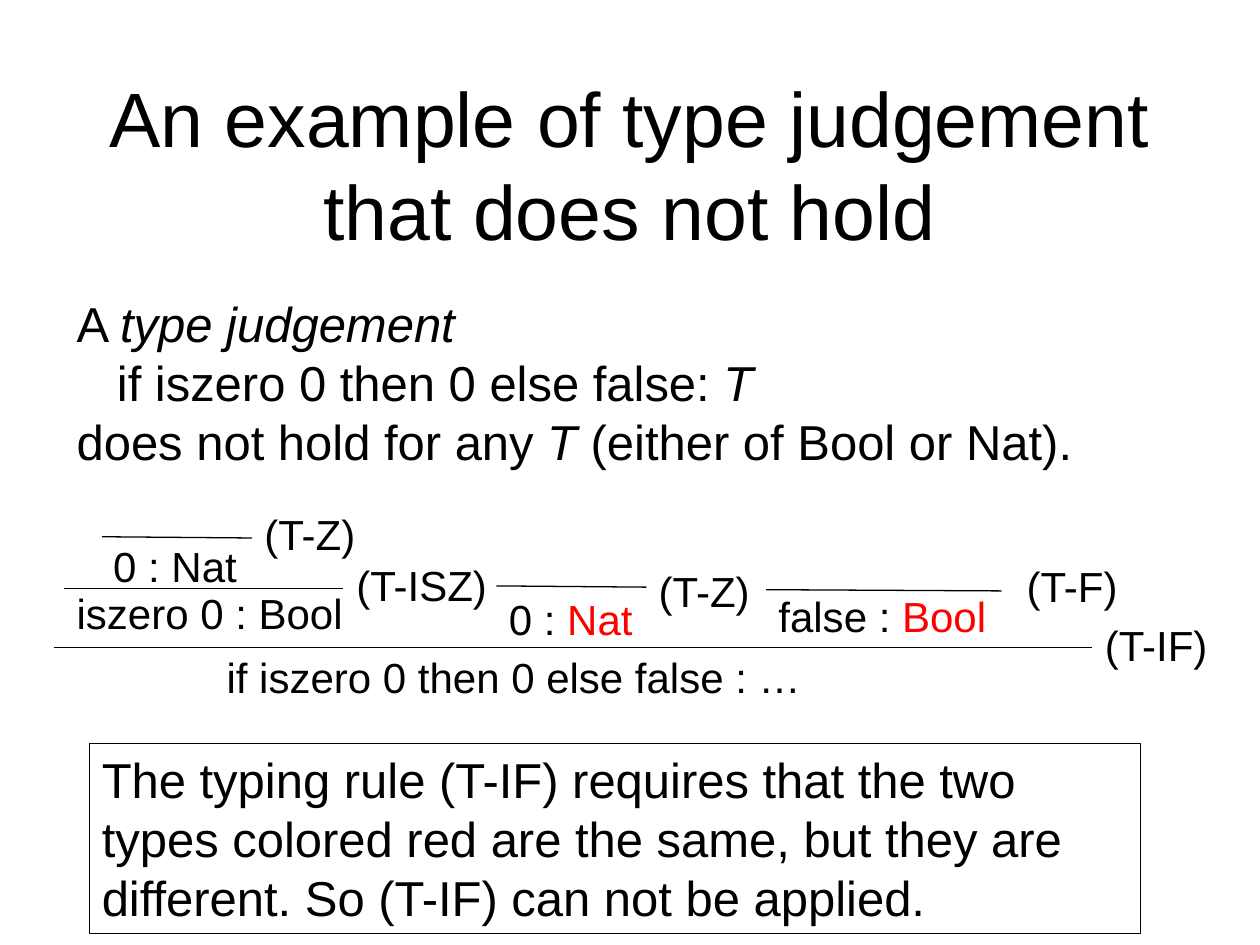
from pptx import Presentation
from pptx.dml.color import RGBColor
from pptx.enum.shapes import MSO_CONNECTOR as Conn, MSO_SHAPE as Shape
from pptx.enum.text import MSO_ANCHOR as Anchor, MSO_AUTO_SIZE as Auto, PP_ALIGN as Align
from pptx.oxml.ns import qn
from pptx.util import Inches, Pt
from lxml import etree

BLACK, RED = "000000", "FF0000"


def rgb(code):
    return RGBColor.from_string(code)


def fill_para(para, runs, size):
    """Each run is (text, italic, colour)."""
    para.font.name = "Arial"
    para.font.size = Pt(size)
    para.font.color.rgb = rgb(BLACK)
    for text, slant, hue in runs:
        run = para.add_run()
        run.text = text
        if slant:
            run.font.italic = True
        if hue != BLACK:
            run.font.color.rgb = rgb(hue)


def plain(text):
    return (text, False, BLACK)


def add_text(slide, x, y, w, h, paras, size=24, wrap=False):
    box = slide.shapes.add_textbox(Inches(x), Inches(y), Inches(w), Inches(h))
    frame = box.text_frame
    frame.word_wrap = wrap
    frame.auto_size = Auto.SHAPE_TO_FIT_TEXT
    for i, runs in enumerate(paras):
        para = frame.paragraphs[0] if i == 0 else frame.add_paragraph()
        fill_para(para, runs, size)
    return frame


def add_rule(slide, x1, y1, x2, y2):
    rule = slide.shapes.add_connector(
        Conn.STRAIGHT, Inches(x1), Inches(y1), Inches(x2), Inches(y2))
    rule.line.color.rgb = rgb(BLACK)
    rule.line.width = Pt(0.75)
    etree.SubElement(rule._element.spPr, qn("a:effectLst"))


def add_note(slide, x, y, w, h, text):
    note = slide.shapes.add_shape(
        Shape.RECTANGLE, Inches(x), Inches(y), Inches(w), Inches(h))
    note.shadow.inherit = False
    note.fill.background()
    note.line.color.rgb = rgb(BLACK)
    note.line.width = Pt(0.75)
    frame = note.text_frame
    frame.word_wrap = True
    frame.auto_size = Auto.SHAPE_TO_FIT_TEXT
    frame.vertical_anchor = Anchor.TOP
    para = frame.paragraphs[0]
    para.alignment = Align.LEFT
    fill_para(para, [plain(text)], 28)


def main():
    deck = Presentation()
    deck.slide_width, deck.slide_height = Inches(10), Inches(7.5)
    slide = deck.slides.add_slide(deck.slide_layouts[6])

    # Title
    title = add_text(slide, 0.75, 0.67, 8.5, 1.25, [
        [plain("An example of type judgement that does not hold")]], 44, True)
    title.auto_size = Auto.NONE
    title.vertical_anchor = Anchor.MIDDLE
    title.paragraphs[0].alignment = Align.CENTER

    # Claim, with the judgement indented
    claim = add_text(slide, 0.51, 2.28, 8.2, 1.51, [
        [plain("A "), ("type judgement", True, BLACK)],
        [plain("if iszero 0 then 0 else false: "), ("T", True, BLACK)],
        [plain("does not hold for any "), ("T ", True, BLACK),
         plain("(either of Bool or Nat).")],
    ], 28)
    claim.paragraphs[1]._p.get_or_add_pPr().set("marL", str(Inches(0.32)))

    # Premises of the derivation tree
    premises = [
        (0.8, 4.24, 1.19, [plain("0 : Nat")]),
        (0.51, 4.61, 2.34, [plain("iszero 0 : Bool")]),
        (3.94, 4.66, 1.19, [plain("0 : "), ("Nat", False, RED)]),
        (6.08, 4.64, 1.87, [plain("false : "), ("Bool", False, RED)]),
    ]
    for x, y, w, runs in premises:
        add_text(slide, x, y, w, 0.5, [runs])

    # Root of the derivation tree
    add_text(slide, 1.7, 5.12, 5.58, 0.5,
             [[plain("if iszero 0 then 0 else false : …")]], wrap=True)

    # Names of the typing rules
    names = [
        (2, 3.99, 0.93, "(T-Z)"),
        (2.73, 4.39, 1.25, "(T-ISZ)"),
        (5.13, 4.44, 0.93, "(T-Z)"),
        (8.05, 4.4, 0.93, "(T-F)"),
        (8.67, 4.87, 1.02, "(T-IF)"),
    ]
    for x, y, w, name in names:
        add_text(slide, x, y, w, 0.5, [[plain(name)]])

    # Inference lines
    for ends in [
        (0.81, 4.26, 2, 4.27),
        (0.51, 4.67, 2.72, 4.67),
        (3.94, 4.65, 5.13, 4.66),
        (6.08, 4.68, 7.95, 4.69),
        (0.43, 5.14, 8.67, 5.14),
    ]:
        add_rule(slide, *ends)

    # Conclusion
    add_note(slide, 0.71, 5.9, 8.34, 1.51,
             "The typing rule (T-IF) requires that the two types colored red "
             "are the same, but they are different. So (T-IF) can not be applied.")

    deck.save("out.pptx")


if __name__ == "__main__":
    main()
